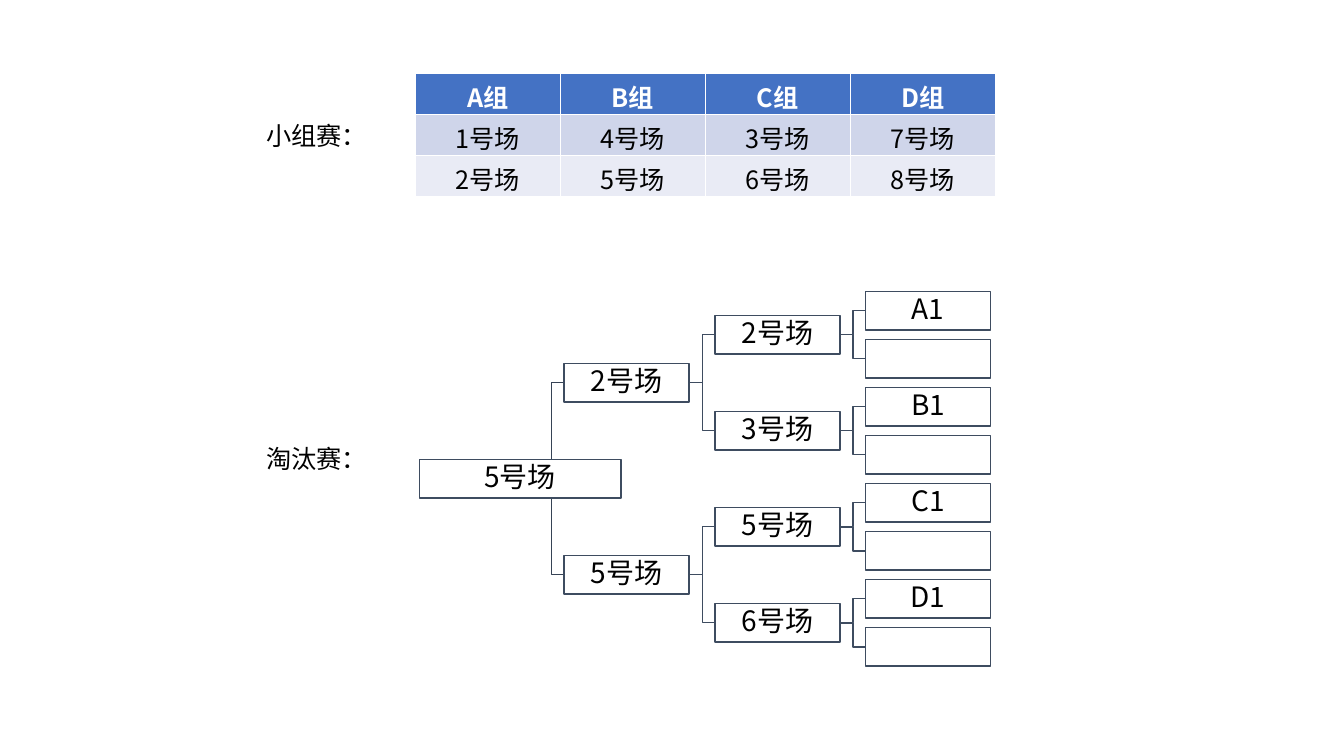
from pptx import Presentation
from pptx.dml.color import RGBColor
from pptx.enum.shapes import MSO_CONNECTOR, MSO_SHAPE
from pptx.enum.text import MSO_ANCHOR, PP_ALIGN
from pptx.oxml.ns import qn
from pptx.util import Inches, Pt
from lxml import etree

FONT = "Noto Sans CJK SC"
BLACK = RGBColor(0x00, 0x00, 0x00)
WHITE = RGBColor(0xFF, 0xFF, 0xFF)
HEADER_BLUE = RGBColor(0x44, 0x72, 0xC4)
BAND_DARK = RGBColor(0xCF, 0xD5, 0xEA)
BAND_LIGHT = RGBColor(0xE9, 0xEB, 0xF5)
SLATE = RGBColor(0x3E, 0x4C, 0x60)
DARK_SLATE = RGBColor(0x36, 0x43, 0x55)
ELBOW = MSO_CONNECTOR.ELBOW
RECTANGLE = MSO_SHAPE.RECTANGLE
CENTER = PP_ALIGN.CENTER
LEFT = PP_ALIGN.LEFT
MIDDLE = MSO_ANCHOR.MIDDLE


def write(frame, text, size=18, color=BLACK, bold=False, align=CENTER):
    para = frame.paragraphs[0]
    para.alignment = align
    span = para.add_run()
    span.text = text
    span.font.name = FONT
    span.font.size = Pt(size)
    span.font.bold = bold
    span.font.color.rgb = color
    east_asian = etree.SubElement(span.font._element, qn("a:ea"))
    east_asian.set("typeface", FONT)
    return para


deck = Presentation()
deck.slide_width = Inches(13.33)
deck.slide_height = Inches(7.5)
page = deck.slides.add_slide(deck.slide_layouts[6])

for label, top in (("小组赛：", 1.14), ("淘汰赛：", 4.35)):
    box = page.shapes.add_textbox(Inches(2.54), Inches(top), Inches(1.21), Inches(0.4))
    box.text_frame.word_wrap = False
    write(box.text_frame, label, align=LEFT)

group_rows = [
    ("A组", "B组", "C组", "D组"),
    ("1号场", "4号场", "3号场", "7号场"),
    ("2号场", "5号场", "6号场", "8号场"),
]
row_fills = (HEADER_BLUE, BAND_DARK, BAND_LIGHT)
group_table = page.shapes.add_table(
    3, 4, Inches(4.12), Inches(0.73), Inches(5.75), Inches(1.22)
).table
for row, (texts, fill) in enumerate(zip(group_rows, row_fills)):
    is_header = row == 0
    for column, text in enumerate(texts):
        cell = group_table.cell(row, column)
        cell.fill.solid()
        cell.fill.fore_color.rgb = fill
        cell.margin_bottom = 0
        write(cell.text_frame, text, color=WHITE if is_header else BLACK, bold=is_header)

rounds = [
    ("5号场",),
    ("2号场", "5号场"),
    ("2号场", "3号场", "5号场", "6号场"),
    ("A1", "", "B1", "", "C1", "", "D1", ""),
]
bracket_left, bracket_middle, bracket_height = 4.1, 4.75, 3.81
column_pitch, column_gap = 1.495, 0.25
box_width, final_width, box_height = 1.24, 2, 0.38
final_left = 4.16

centers = [
    [
        bracket_middle + (i - (len(names) - 1) / 2) * bracket_height / len(names)
        for i in range(len(names))
    ]
    for names in rounds
]

for level in range(1, len(rounds)):
    right = bracket_left + level * column_pitch
    for i, center in enumerate(centers[level]):
        link = page.shapes.add_connector(
            ELBOW,
            Inches(right - column_gap),
            Inches(centers[level - 1][i // 2]),
            Inches(right),
            Inches(center),
        )
        link.line.color.rgb = DARK_SLATE if level == 1 else SLATE
        link.line.width = Pt(1)
        etree.SubElement(link._element.spPr, qn("a:effectLst"))

for level, names in enumerate(rounds):
    left = bracket_left + level * column_pitch if level else final_left
    width = box_width if level else final_width
    for name, center in zip(names, centers[level]):
        box = page.shapes.add_shape(
            RECTANGLE,
            Inches(left),
            Inches(center - box_height / 2),
            Inches(width),
            Inches(box_height),
        )
        box.shadow.inherit = False
        box.fill.solid()
        box.fill.fore_color.rgb = WHITE
        box.line.color.rgb = SLATE
        box.line.width = Pt(1)
        if name:
            frame = box.text_frame
            frame.vertical_anchor = MIDDLE
            frame.margin_left = frame.margin_right = Inches(0.01)
            frame.margin_top = frame.margin_bottom = Inches(0.01)
            para = write(frame, name, size=20)
            para.line_spacing = 0.9
            para.space_after = Pt(7)

deck.save("out.pptx")
